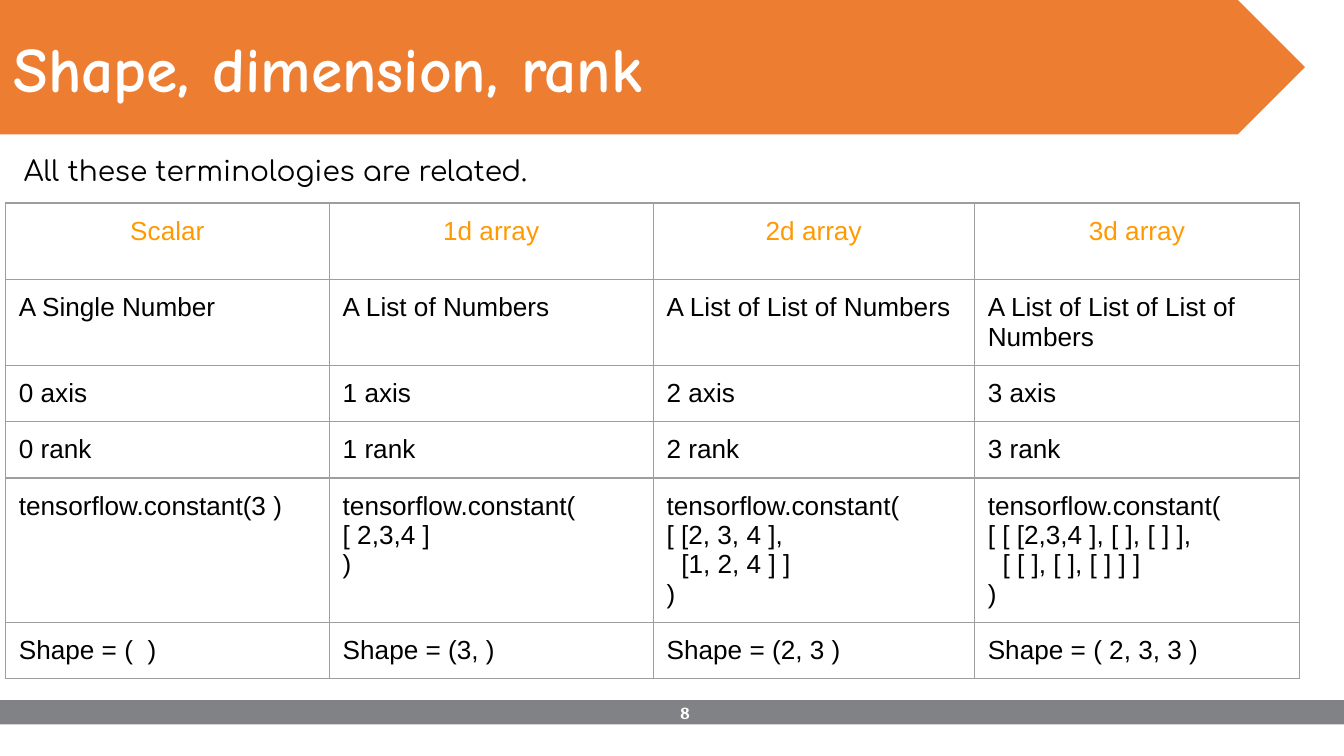
from lxml import etree
from pptx import Presentation
from pptx.dml.color import RGBColor
from pptx.enum import shapes, text
from pptx.oxml import ns
from pptx.util import Inches, Pt

COLORS = {
    "banner": "ED7D31", "footer": "818286", "white": "FFFFFF",
    "black": "000000", "heading": "FF9900", "border": "9E9E9E",
}
FORMATS = {
    "title": {"name": "Comic Neue", "size": Pt(34), "bold": True, "color": "white"},
    "intro": {"name": "Comfortaa", "size": Pt(15), "color": "black"},
    "number": {"name": "Cambria", "size": Pt(9), "bold": True, "color": "white"},
    "heading": {"name": "Arial", "size": Pt(14), "color": "heading"},
    "cell": {"name": "Arial", "size": Pt(14), "color": "black"},
}
COLUMN_WIDTHS = [2.41, 2.41, 2.39, 2.42]
ROW_HEIGHTS = [0.57, 0.57, 0.42, 0.42, 0.42, 0.42]  # rows grow with their text
ROWS = [
    ["Scalar", "1d array", "2d array", "3d array"],
    ["A Single Number", "A List of Numbers", "A List of List of Numbers",
     "A List of List of List of Numbers"],
    [f"{count} axis" for count in range(4)],
    [f"{count} rank" for count in range(4)],
    ["tensorflow.constant(3 )",
     "tensorflow.constant(\n[ 2,3,4 ]\n)",
     "tensorflow.constant(\n[ [2, 3, 4 ],\n\t[1, 2, 4 ] ]\n)",
     "tensorflow.constant(\n[ [ [2,3,4 ], [ ], [ ] ],\n\t[ [ ], [ ], [ ] ] ]\n)"],
    ["Shape = (  )", "Shape = (3, )", "Shape = (2, 3 )", "Shape = ( 2, 3, 3 )"],
]


def rgb(name):
    return RGBColor.from_string(COLORS[name])


def format_paragraph(paragraph, style, alignment=text.PP_ALIGN.LEFT):
    paragraph.alignment = alignment
    for run in paragraph.runs:
        for key, value in FORMATS[style].items():
            if key == "color":
                run.font.color.rgb = rgb(value)
            else:
                setattr(run.font, key, value)
        for script in ("ea", "cs"):
            etree.SubElement(run.font._element, ns.qn(f"a:{script}"),
                             typeface=FORMATS[style]["name"])


def fill_frame(frame, words, style, alignment=text.PP_ALIGN.LEFT,
               anchor=text.MSO_ANCHOR.TOP):
    settings = {
        "word_wrap": True, "auto_size": text.MSO_AUTO_SIZE.NONE,
        "vertical_anchor": anchor,
        "margin_left": Inches(0.1), "margin_right": Inches(0.1),
        "margin_top": Inches(0.05), "margin_bottom": Inches(0.05),
    }
    for key, value in settings.items():
        setattr(frame, key, value)
    frame.text = words
    format_paragraph(frame.paragraphs[0], style, alignment)


def add_block(slide, kind, box, color):
    block = slide.shapes.add_shape(kind, *map(Inches, box))
    block.shadow.inherit = False
    block.fill.solid()
    block.fill.fore_color.rgb = rgb(color)
    block.line.fill.background()
    return block


def add_banner(slide, box):
    """Draw the arrow banner and lay the title over it."""
    add_block(slide, shapes.MSO_SHAPE.PENTAGON, box, "banner")
    title = slide.shapes.title
    slide.shapes._spTree.append(title._element)  # bring in front of the banner
    for side, length in zip(("left", "top", "width", "height"), box):
        setattr(title, side, Inches(length))
    fill_frame(title.text_frame, "Shape, dimension, rank", "title",
               anchor=text.MSO_ANCHOR.MIDDLE)


def add_intro(slide, box):
    intro = slide.shapes.add_textbox(*map(Inches, box))
    fill_frame(intro.text_frame, "All these terminologies are related.", "intro")
    intro.text_frame.paragraphs[0].line_spacing = 1.1


def add_footer(slide, box):
    left, top, width, height = box
    add_block(slide, shapes.MSO_SHAPE.RECTANGLE, box, "footer")
    number = slide.shapes.add_textbox(
        Inches(left + width / 2 - 0.22), Inches(top - 0.07), Inches(0.45), Inches(0.33))
    fill_frame(number.text_frame, "8", "number", text.PP_ALIGN.RIGHT,
               text.MSO_ANCHOR.MIDDLE)


def add_borders(cell):
    properties = cell._tc.get_or_add_tcPr()
    for position, side in enumerate(("lnL", "lnR", "lnT", "lnB")):
        line = etree.Element(ns.qn(f"a:{side}"), w=str(Pt(0.75)))
        fill = etree.SubElement(line, ns.qn("a:solidFill"))
        etree.SubElement(fill, ns.qn("a:srgbClr"), val=COLORS["border"])
        properties.insert(position, line)


def fill_cell(cell, words, style, alignment):
    """Write one paragraph per line; a leading tab marks an indented line."""
    for side in ("left", "right", "top", "bottom"):
        setattr(cell, f"margin_{side}", Inches(0.1))
    cell.fill.background()
    add_borders(cell)
    cell.text = words.replace("\t", "")
    for line, paragraph in zip(words.split("\n"), cell.text_frame.paragraphs):
        format_paragraph(paragraph, style, alignment)
        if line.startswith("\t"):
            paragraph._p.get_or_add_pPr().set("marL", str(Inches(0.11)))


def add_comparison(slide, left, top):
    table = slide.shapes.add_table(
        len(ROWS), len(COLUMN_WIDTHS), Inches(left), Inches(top),
        Inches(sum(COLUMN_WIDTHS)), Inches(sum(ROW_HEIGHTS))).table
    table.first_row = table.horz_banding = False
    for column, width in zip(table.columns, COLUMN_WIDTHS):
        column.width = Inches(width)
    for index, (row, height) in enumerate(zip(table.rows, ROW_HEIGHTS)):
        row.height = Inches(height)
        style = "cell" if index else "heading"
        alignment = text.PP_ALIGN.LEFT if index else text.PP_ALIGN.CENTER
        for cell, words in zip(row.cells, ROWS[index]):
            fill_cell(cell, words, style, alignment)


def main():
    presentation = Presentation()
    presentation.slide_width = Inches(10)
    presentation.slide_height = presentation.slide_width * 9 // 16
    slide = presentation.slides.add_slide(presentation.slide_layouts[5])
    add_banner(slide, (0, 0, 9.71, 1))
    add_intro(slide, (0.08, 1.07, 9.43, 4.16))
    add_footer(slide, (0, 5.21, 10, 0.18))
    add_comparison(slide, 0.04, 1.51)
    presentation.save("out.pptx")


if __name__ == "__main__":
    main()
